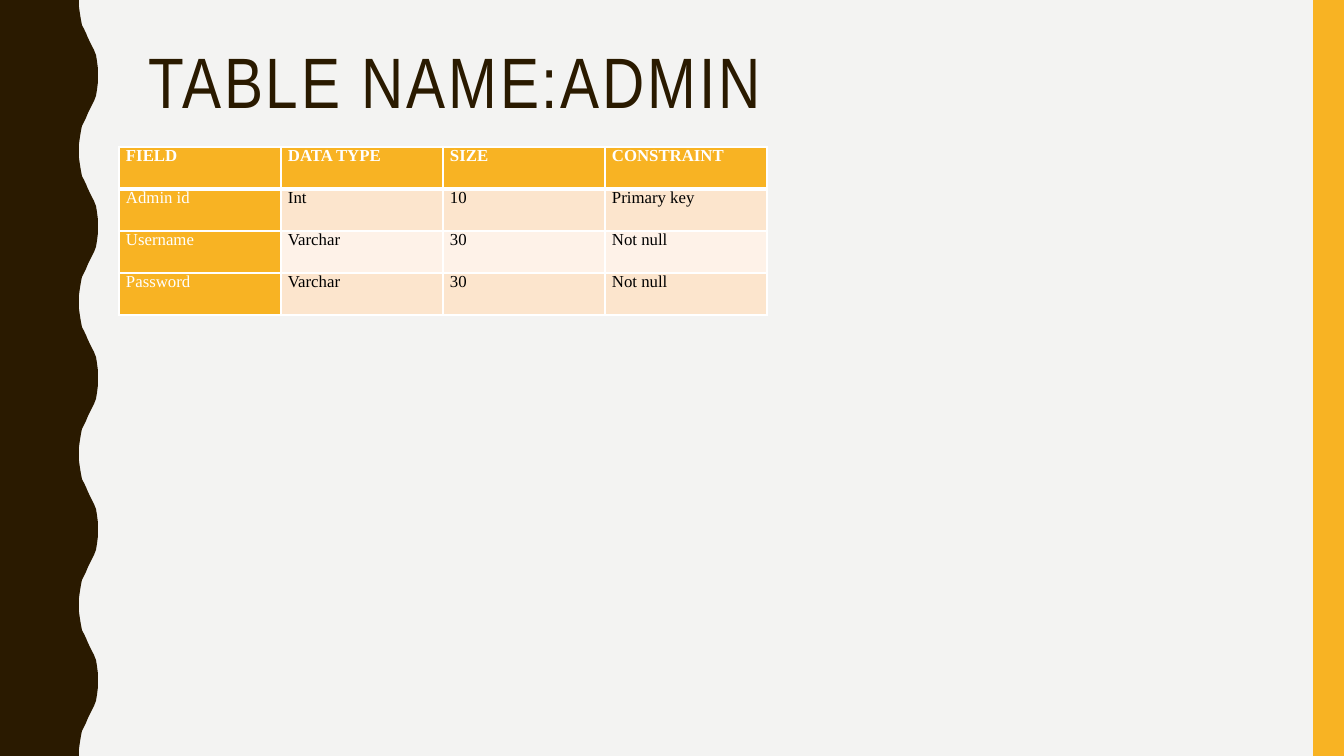
"""Build the slide that describes the Admin database table."""
from dataclasses import dataclass

from lxml import etree
from pptx import Presentation
from pptx.dml.color import RGBColor
from pptx.enum.shapes import MSO_SHAPE
from pptx.enum.text import MSO_ANCHOR, MSO_AUTO_SIZE, PP_ALIGN
from pptx.oxml.ns import qn
from pptx.util import Pt

TITLE = "TABLE NAME:ADMIN"
ROWS = [
    ("FIELD", "DATA TYPE", "SIZE", "CONSTRAINT"),
    ("Admin id", "Int", "10", "Primary key"),
    ("Username", "Varchar", "30", "Not null"),
    ("Password", "Varchar", "30", "Not null"),
]

PAGE = (1344, 756)
TITLE_BOX = (138, 42, 1122, 164)
STRIPE_BOX = (1313, 0, 31, 756)
TABLE_LEFT, TABLE_TOP = 119, 147
COLUMN_WIDTH, ROW_HEIGHT = 162, 42
CELL_INSET = 7
WAVE_COUNT = 5
HALF_WAVE = [
    (79, 0), (79, 7), (80, 14), (81, 20), (82, 25), (84, 29), (86, 33), (88, 38),
    (90, 42), (92, 46), (94, 50), (96, 55), (97, 61), (98, 69), (98, 76),
]

RECTANGLE = MSO_SHAPE.RECTANGLE
LEFT, TOP, NO_FIT = PP_ALIGN.LEFT, MSO_ANCHOR.TOP, MSO_AUTO_SIZE.NONE
EMU_PER_PX = 914400 / 100.8


@dataclass(frozen=True)
class Theme:
    """Colours, fonts and type sizes of the slide."""
    paper: str = "F3F3F2"
    dark: str = "2A1A00"
    accent: str = "F8B323"
    bands: tuple = ("FEF2E8", "FCE5CD")
    white: str = "FFFFFF"
    black: str = "000000"
    title_font: str = "Arial Narrow"
    table_font: str = "Times New Roman"
    title_size: int = 51
    table_size: int = 12
    title_tracking: int = 2
    thin: int = 1
    thick: int = 3


THEME = Theme()


def emu(px):
    """Turn px into EMU."""
    return round(px * EMU_PER_PX)


def apply(target, values):
    """Set each attribute named in values."""
    for name, value in values.items():
        setattr(target, name, value)


def paint(fill, colour):
    """Make a fill solid."""
    fill.solid()
    fill.fore_color.rgb = RGBColor.from_string(colour)


def write(para, text, colour, **font):
    """Add one formatted run to a paragraph."""
    span = para.add_run()
    span.text = text
    apply(span.font, font)
    span.font.color.rgb = RGBColor.from_string(colour)
    return span


def finish(shape, colour):
    """Give a decoration a plain fill."""
    shape.shadow.inherit = False
    shape.line.fill.background()
    paint(shape.fill, colour)


def add_wavy_edge(page):
    """Draw the dark band with its repeated wave."""
    period = PAGE[1] / WAVE_COUNT
    wave = HALF_WAVE + [(x, period - y) for x, y in reversed(HALF_WAVE[:-1])]
    points = [(x, y + index * period) for index in range(WAVE_COUNT) for x, y in wave]
    builder = page.shapes.build_freeform(0, 0, scale=EMU_PER_PX)
    builder.add_line_segments(points + [(0, PAGE[1])], close=True)
    finish(builder.convert_to_shape(), THEME.dark)


def add_title(page):
    """Place and format the title placeholder."""
    box = page.shapes.title
    apply(box, dict(zip(("left", "top", "width", "height"), map(emu, TITLE_BOX))))
    apply(box.text_frame, {"vertical_anchor": TOP, "auto_size": NO_FIT, "word_wrap": True})
    para = box.text_frame.paragraphs[0]
    apply(para, {"alignment": LEFT, "line_spacing": 0.9})
    span = write(para, TITLE, THEME.dark, name=THEME.title_font, size=Pt(THEME.title_size))
    span.font._element.set("spc", str(THEME.title_tracking * 100))


def add_borders(cell, bottom):
    """Draw the four white sides of a cell."""
    properties = cell._tc.get_or_add_tcPr()
    sides = {"lnL": THEME.thin, "lnR": THEME.thin, "lnT": THEME.thin, "lnB": bottom}
    for side, width in sides.items():
        line = etree.SubElement(properties, qn(f"a:{side}"), w=str(Pt(width)))
        fill = etree.SubElement(line, qn("a:solidFill"))
        etree.SubElement(fill, qn("a:srgbClr"), val=THEME.white)


def add_field_table(page):
    """Build the table of fields."""
    row_count, column_count = len(ROWS), len(ROWS[0])
    size = (COLUMN_WIDTH * column_count, ROW_HEIGHT * row_count)
    frame = page.shapes.add_table(
        row_count, column_count, *map(emu, (TABLE_LEFT, TABLE_TOP, *size)))
    table = frame.table
    table.first_col = True
    for column in table.columns:
        column.width = emu(COLUMN_WIDTH)
    for row_index, texts in enumerate(ROWS):
        table.rows[row_index].height = emu(ROW_HEIGHT)
        header = row_index == 0
        for column_index, text in enumerate(texts):
            cell = table.cell(row_index, column_index)
            strong = header or column_index == 0
            apply(cell, {"margin_left": emu(CELL_INSET), "margin_right": emu(CELL_INSET),
                         "margin_top": 0, "margin_bottom": 0, "vertical_anchor": TOP})
            add_borders(cell, THEME.thick if header else THEME.thin)
            paint(cell.fill, THEME.accent if strong else THEME.bands[row_index % 2])
            write(cell.text_frame.paragraphs[0], text,
                  THEME.white if strong else THEME.black,
                  name=THEME.table_font, size=Pt(THEME.table_size), bold=header)


def main():
    """Build and save the deck."""
    deck = Presentation()
    apply(deck, {"slide_width": emu(PAGE[0]), "slide_height": emu(PAGE[1])})
    page = deck.slides.add_slide(deck.slide_layouts[5])
    paint(page.background.fill, THEME.paper)
    add_wavy_edge(page)
    finish(page.shapes.add_shape(RECTANGLE, *map(emu, STRIPE_BOX)), THEME.accent)
    add_title(page)
    add_field_table(page)
    deck.save("out.pptx")


if __name__ == "__main__":
    main()
